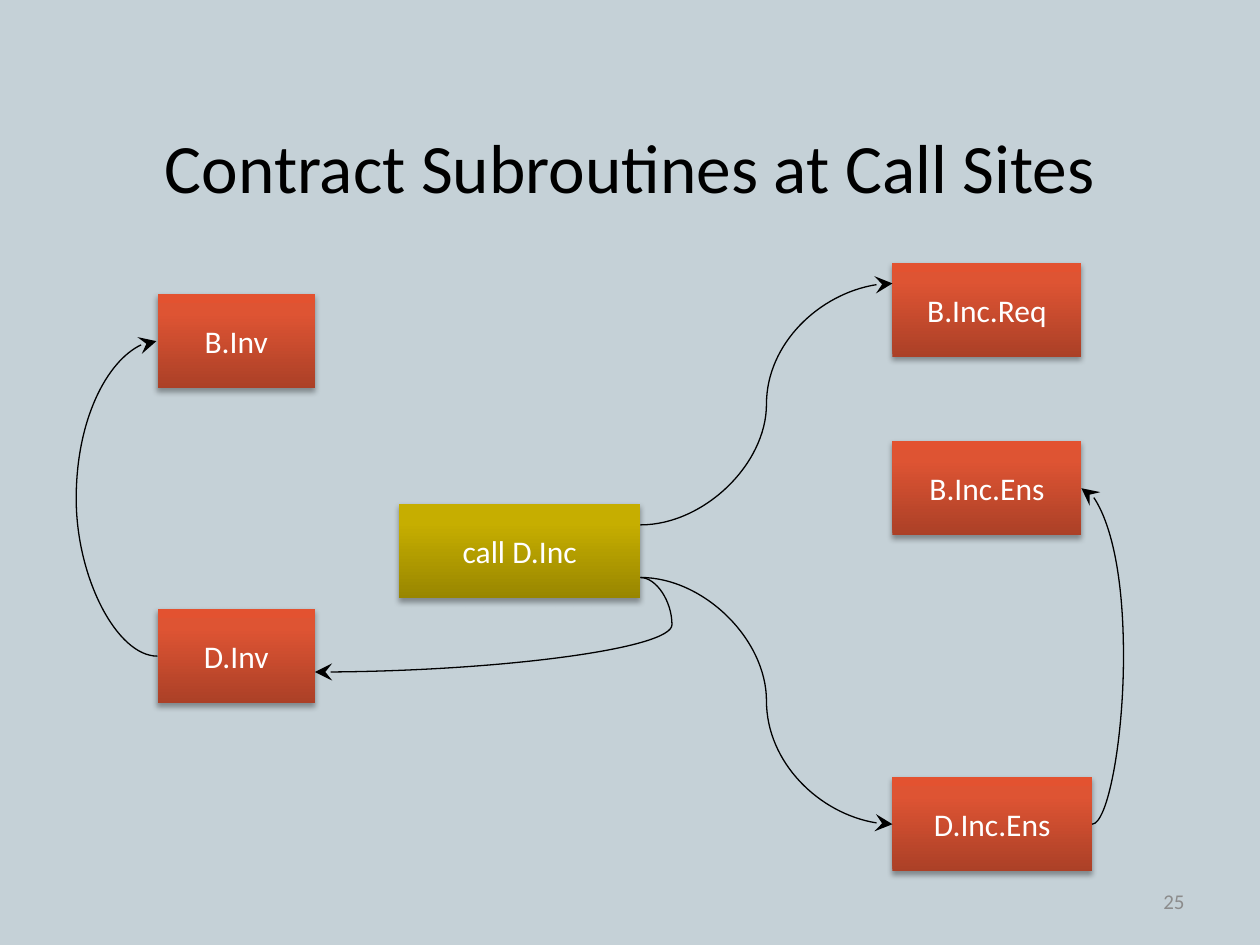
from dataclasses import dataclass

from lxml.etree import SubElement
from pptx import Presentation
from pptx.dml.color import RGBColor
from pptx.enum.shapes import MSO_CONNECTOR, MSO_SHAPE
from pptx.enum.text import MSO_ANCHOR, PP_ALIGN
from pptx.oxml.ns import qn
from pptx.util import Pt

PX = 7620  # EMU per px, 120 px to the inch


@dataclass(frozen=True)
class Theme:
    font: str = "Calibri"
    background: str = "C5D1D7"
    ink: str = "000000"
    white: str = "FFFFFF"
    gray: str = "8C8C8C"
    red: tuple = ((0, "AB4027"), (80, "DE5433"), (100, "E35230"))
    olive: tuple = ((0, "988600"), (80, "C6AE00"), (100, "C7AF00"))
    title_size: float = 39.6
    box_size: int = 18
    number_size: int = 12
    line_width: float = 0.75


THEME = Theme()

# Boxes: name -> (left, top, width, height) in px
BOXES = {
    "call D.Inc": (380, 480, 230, 90),
    "B.Inv": (150, 280, 150, 90),
    "B.Inc.Req": (850, 250, 180, 90),
    "B.Inc.Ens": (850, 420, 180, 90),
    "D.Inv": (150, 580, 150, 90),
    "D.Inc.Ens": (850, 740, 190, 90),
}

# Arrows: start box, side, y offset; end box, side, y offset; x of the bend
ARROWS = [
    ("call D.Inc", "right", 70, "D.Inc.Ens", "left", 45, 730),
    ("call D.Inc", "right", 20, "B.Inc.Req", "left", 20, 730),
    ("call D.Inc", "right", 70, "D.Inv", "right", 60, 640),
    ("D.Inv", "left", 45, "B.Inv", "left", 45, 72),
    ("D.Inc.Ens", "right", 45, "B.Inc.Ens", "right", 45, 1070),
]


def place(shape, box):
    shape.left, shape.top, shape.width, shape.height = (v * PX for v in box)


def write(shape, text, size, color, alignment):
    frame = shape.text_frame
    frame.text = text
    frame.word_wrap = True
    frame.vertical_anchor = MSO_ANCHOR.MIDDLE
    paragraph = frame.paragraphs[0]
    paragraph.alignment = alignment
    font = paragraph.runs[0].font
    font.name, font.size = THEME.font, Pt(size)
    font.color.rgb = RGBColor.from_string(color)


def add_color(parent, color, alpha=None):
    element = SubElement(parent, qn("a:srgbClr"), val=color)
    if alpha is not None:
        SubElement(element, qn("a:alpha"), val=str(alpha * 1000))


def add_box(slide, name, box, stops):
    shape = slide.shapes.add_shape(MSO_SHAPE.RECTANGLE, *(v * PX for v in box))
    shape.line.fill.background()
    # Vertical gradient, dark at the bottom
    shape.fill.gradient()
    shape.fill.gradient_angle = 90
    properties = shape._element.spPr
    stop_list = properties.find(".//" + qn("a:gsLst"))
    for stop in list(stop_list):
        stop_list.remove(stop)
    for position, color in stops:
        add_color(SubElement(stop_list, qn("a:gs"), pos=str(position * 1000)), color)
    # Soft shadow below
    shape.shadow.inherit = False
    shadow = SubElement(properties.find(qn("a:effectLst")), qn("a:outerShdw"),
                        blurRad="40000", dist="23000", dir="5400000", rotWithShape="0")
    add_color(shadow, THEME.ink, 35)
    write(shape, name, THEME.box_size, THEME.white, PP_ALIGN.CENTER)


def edge_point(name, side, offset):
    left, top, width, _ = BOXES[name]
    return left + (width if side == "right" else 0), top + offset


def add_arrow(slide, start, end, bend):
    (x1, y1), (x2, y2) = start, end
    if x1 == x2:
        x2 -= 1  # the bend is a share of the width, which cannot be zero
    connector = slide.shapes.add_connector(
        MSO_CONNECTOR.CURVE, x1 * PX, y1 * PX, x2 * PX, y2 * PX)
    connector.line.width = Pt(THEME.line_width)
    connector.line.color.rgb = RGBColor.from_string(THEME.ink)
    properties = connector._element.spPr
    SubElement(properties.find(qn("a:ln")), qn("a:tailEnd"),
               type="stealth", w="lg", len="lg")
    SubElement(properties, qn("a:effectLst"))
    connector_adjust = round((bend - x1) / (x2 - x1) * 100000)
    guides = properties.find(qn("a:prstGeom")).get_or_add_avLst()
    SubElement(guides, qn("a:gd"), name="adj1", fmla=f"val {connector_adjust}")


def add_title(slide, box):
    title = slide.shapes.title
    place(title, box)
    write(title, "Contract Subroutines at Call Sites",
          THEME.title_size, THEME.ink, PP_ALIGN.CENTER)


def add_call_graph(slide):
    for name, box in BOXES.items():
        add_box(slide, name, box, THEME.olive if name == "call D.Inc" else THEME.red)
    for *ends, bend in ARROWS:
        add_arrow(slide, edge_point(*ends[:3]), edge_point(*ends[3:]), bend)


def add_slide_number(slide, box):
    number = slide.shapes.add_textbox(*(v * PX for v in box))
    write(number, "25", THEME.number_size, THEME.gray, PP_ALIGN.RIGHT)


def main():
    presentation = Presentation()
    presentation.slide_width, presentation.slide_height = 1200 * PX, 900 * PX
    slide = presentation.slides.add_slide(presentation.slide_layouts[5])
    slide.background.fill.solid()
    slide.background.fill.fore_color.rgb = RGBColor.from_string(THEME.background)
    add_title(slide, (40, 120, 1120, 76))
    add_call_graph(slide)
    add_slide_number(slide, (860, 834, 280, 48))
    presentation.save("out.pptx")


if __name__ == "__main__":
    main()
